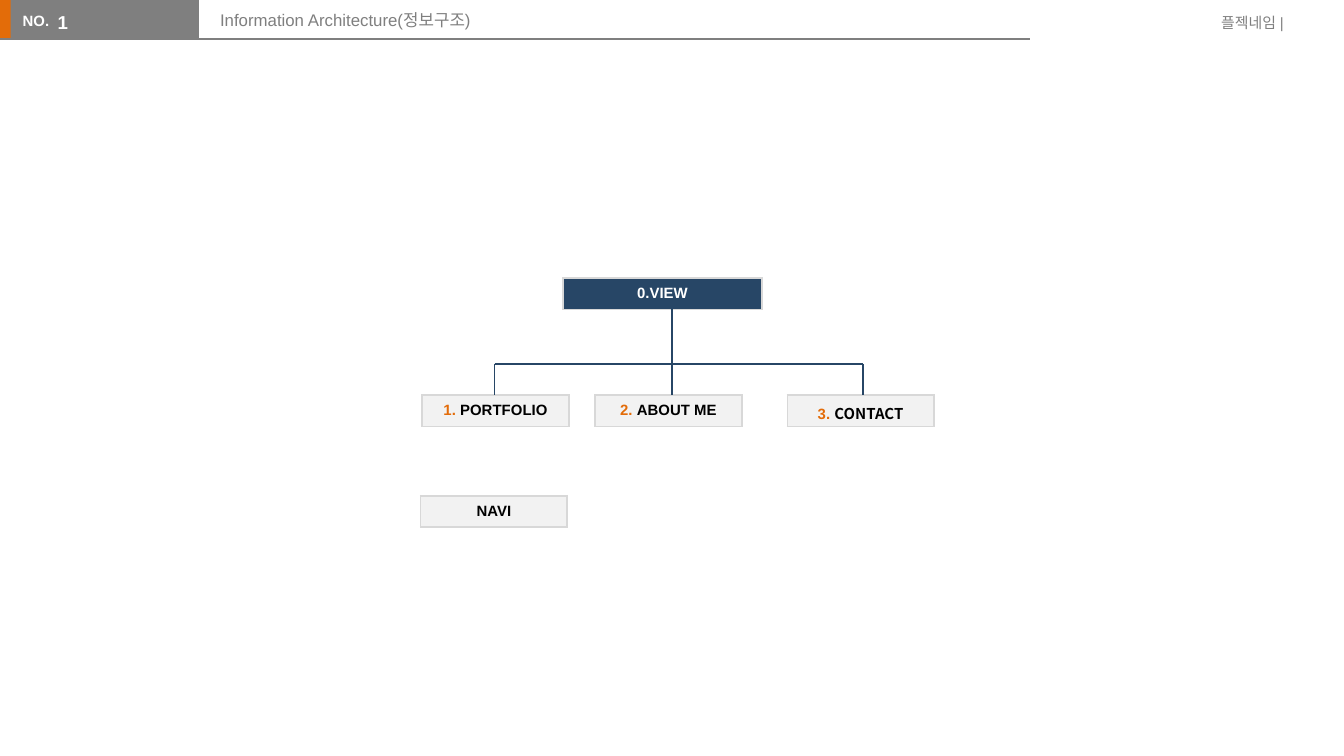
from lxml import etree
from pptx import Presentation
from pptx.dml.color import RGBColor
from pptx.enum.shapes import MSO_CONNECTOR, MSO_SHAPE
from pptx.enum.text import MSO_ANCHOR, PP_ALIGN
from pptx.oxml.ns import qn
from pptx.util import Cm, Pt

RECT = MSO_SHAPE.RECTANGLE
STRAIGHT = MSO_CONNECTOR.STRAIGHT
TOP, MIDDLE = MSO_ANCHOR.TOP, MSO_ANCHOR.MIDDLE
LEFT, CENTER, RIGHT = PP_ALIGN.LEFT, PP_ALIGN.CENTER, PP_ALIGN.RIGHT

FONT = "Arial"
KOREAN = "Noto Sans CJK KR"
COLORS = {
    "orange": "E36C09",
    "gray": "7F7F7F",
    "white": "FFFFFF",
    "navy": "274666",
    "light": "F2F2F2",
    "border": "D8D8D8",
    "black": "000000",
}

HEADER_BARS = [
    (-0.03, 0.3, "orange"),
    (0.2, 3.56, "gray"),
]
HEADER_TEXTS = [
    ("NO.", (0.18, 0.08, 1.04, 0.6), 8, "white", True, LEFT, MIDDLE, 0.25),
    ("플젝네임 |", (22.68, 0.13, 1.83, 0.6), 8, "gray", False, RIGHT, TOP, 0.25),
    ("Information Architecture(정보구조)", (3.91, 0.05, 13.77, 0.81), 9, "gray", False, LEFT, TOP, 0.25),
    ("1", (1.09, 0.03, 2.79, 0.79), 10, "white", True, LEFT, MIDDLE, 0),
]

ROOT_Y, BRANCH_Y, MENU_Y, NAVI_Y = 5.26, 6.88, 7.47, 9.37
BOX_W, BOX_H = 2.77, 0.58
BOXES = [
    ("", "0.VIEW", 10.64, ROOT_Y, 3.76, "navy", "white", FONT),
    ("1. ", "PORTFOLIO", 7.98, MENU_Y, BOX_W, "light", "black", FONT),
    ("2. ", "ABOUT ME", 11.25, MENU_Y, BOX_W, "light", "black", FONT),
    ("3. ", "CONTACT", 14.88, MENU_Y, BOX_W, "light", "black", KOREAN),
    ("", "NAVI", 7.95, NAVI_Y, BOX_W, "light", "black", FONT),
]
TRUNK_X, BRANCH_LEFT, BRANCH_RIGHT = 12.7, 9.35, 16.31


def rgb(name):
    return RGBColor.from_string(COLORS[name])


def add_bar(x, w, color):
    s = slide.shapes.add_shape(RECT, Cm(x), Cm(0), Cm(w), Cm(0.74))
    s.shadow.inherit = False
    s.fill.solid()
    s.fill.fore_color.rgb = rgb(color)
    s.line.fill.background()


def add_text(text, box, size, color, bold, align, anchor, side):
    tf = slide.shapes.add_textbox(*map(Cm, box)).text_frame
    tf.word_wrap = True
    tf.vertical_anchor = anchor
    tf.margin_left = tf.margin_right = Cm(side)
    p = tf.paragraphs[0]
    p.text = text
    p.alignment = align
    p.font.name = FONT
    p.font.size = Pt(size)
    p.font.bold = bold
    p.font.color.rgb = rgb(color)


def add_line(x1, y1, x2, y2, color):
    line = slide.shapes.add_connector(STRAIGHT, Cm(x1), Cm(y1), Cm(x2), Cm(y2))
    line.line.color.rgb = rgb(color)
    line.line.width = Pt(0.75)
    etree.SubElement(line._element.spPr, qn("a:effectLst"))


def add_borders(cell):
    tc_pr = cell._tc.get_or_add_tcPr()
    for i, side in enumerate(("lnL", "lnR", "lnT", "lnB")):
        ln = etree.Element(qn(f"a:{side}"), w=str(Pt(1)))
        fill = etree.SubElement(ln, qn("a:solidFill"))
        etree.SubElement(fill, qn("a:srgbClr"), val=COLORS["border"])
        tc_pr.insert(i, ln)


def add_box(number, label, x, y, w, fill, color, font):
    table = slide.shapes.add_table(1, 1, Cm(x), Cm(y), Cm(w), Cm(BOX_H)).table
    table.first_row = table.horz_banding = False
    cell = table.cell(0, 0)
    cell.fill.solid()
    cell.fill.fore_color.rgb = rgb(fill)
    add_borders(cell)
    p = cell.text_frame.paragraphs[0]
    p.alignment = CENTER
    p.font.size = Pt(8)
    p.font.bold = True
    for text, hue, name in ((number, "orange", FONT), (label, color, font)):
        if text:
            r = p.add_run()
            r.text = text
            r.font.name = name
            r.font.size = Pt(8)
            r.font.bold = True
            r.font.color.rgb = rgb(hue)


prs = Presentation()
prs.slide_width, prs.slide_height = Cm(25.4), Cm(14.29)
slide = prs.slides.add_slide(prs.slide_layouts[6])

for bar in HEADER_BARS:
    add_bar(*bar)
add_line(0, 0.74, 19.46, 0.74, "gray")
for item in HEADER_TEXTS:
    add_text(*item)

for box in BOXES:
    add_box(*box)
add_line(TRUNK_X, ROOT_Y + BOX_H, TRUNK_X, MENU_Y, "navy")
add_line(BRANCH_LEFT, BRANCH_Y, BRANCH_RIGHT, BRANCH_Y, "navy")
for x in (BRANCH_LEFT, BRANCH_RIGHT):
    add_line(x, BRANCH_Y, x, MENU_Y, "navy")

prs.save("out.pptx")
